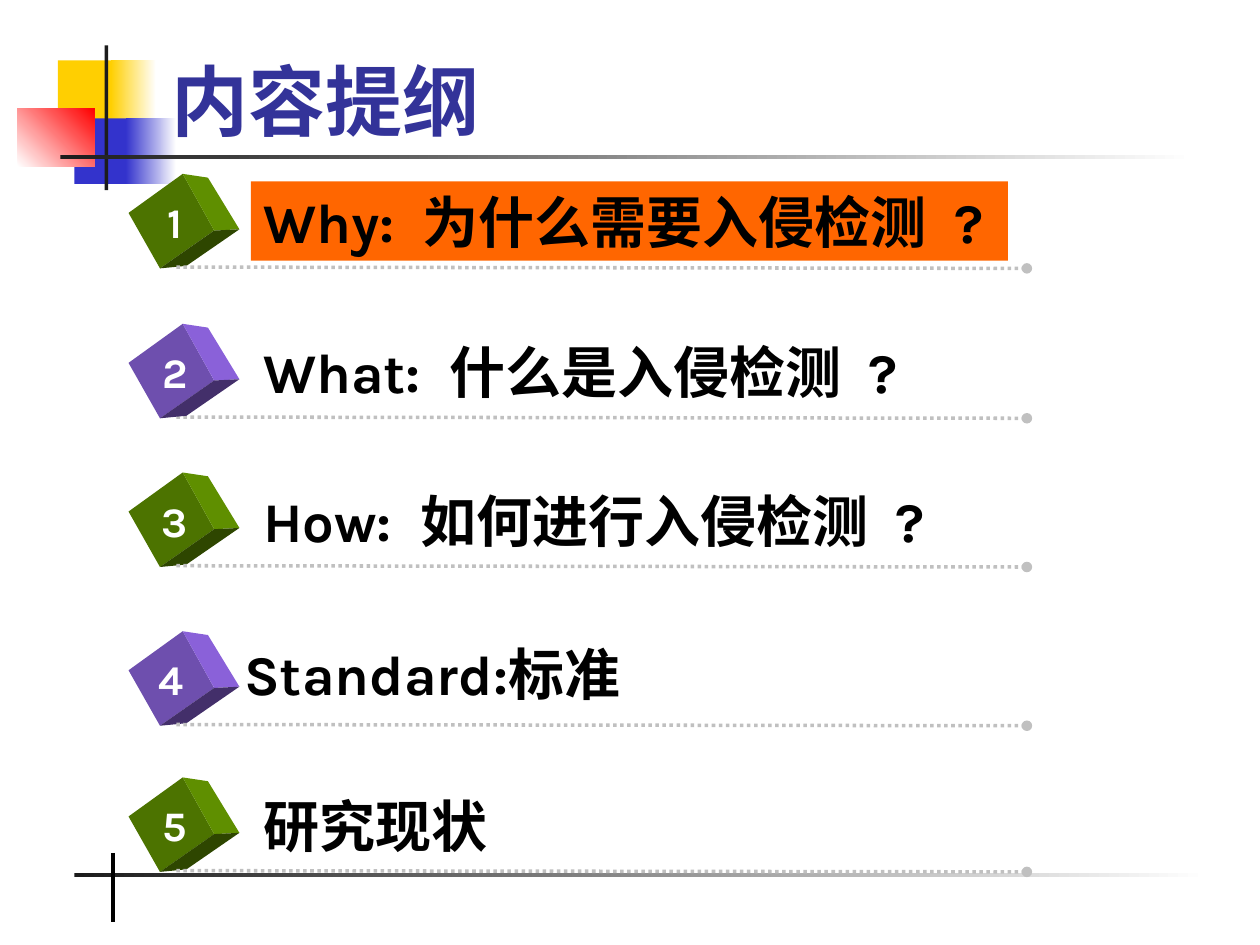
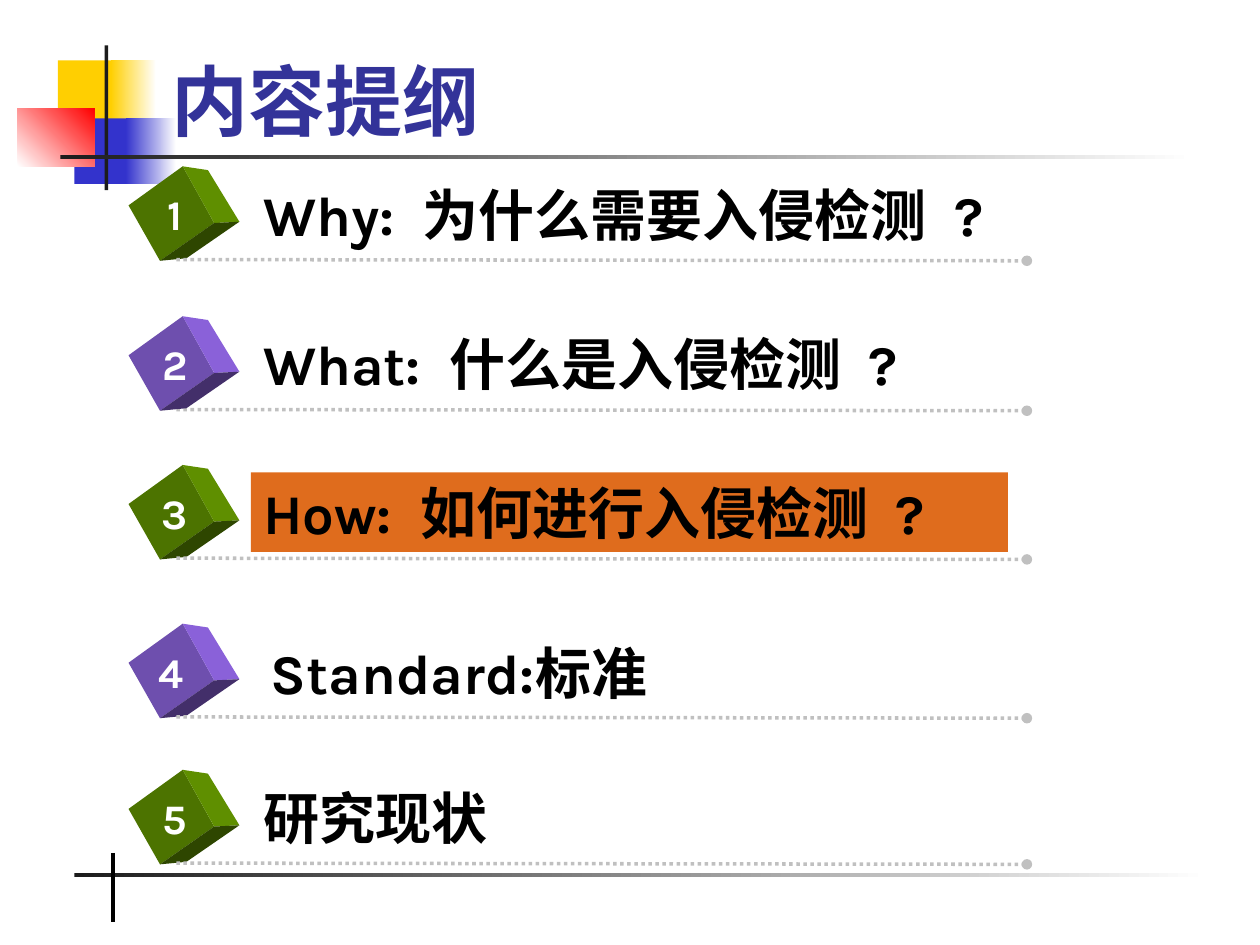
"""Two outline slides: five numbered topics, with the current one highlighted."""
import pptx
import pptx.dml.color
import pptx.enum.dml
import pptx.enum.shapes
import pptx.enum.text
import pptx.oxml
import pptx.oxml.ns
import pptx.util

Inches = pptx.util.Inches
Pt = pptx.util.Pt
RGBColor = pptx.dml.color.RGBColor
ALIGN = pptx.enum.text.PP_ALIGN
ANCHOR = pptx.enum.text.MSO_ANCHOR
FIT = pptx.enum.text.MSO_AUTO_SIZE

YELLOW = RGBColor(0xFF, 0xCF, 0x01)
BLUE = RGBColor(0x33, 0x33, 0xCC)
RED = RGBColor(0xFF, 0x00, 0x00)
WHITE = RGBColor(0xFF, 0xFF, 0xFF)
BLACK = RGBColor(0x00, 0x00, 0x00)
INK = RGBColor(0x1C, 0x1C, 0x1C)
SILVER = RGBColor(0xC0, 0xC0, 0xC0)
NAVY = RGBColor(0x33, 0x33, 0x99)
ORANGE = RGBColor(0xFF, 0x66, 0x00)
RUST = RGBColor(0xDF, 0x6C, 0x1D)
GREEN_FACES = (RGBColor(0x4C, 0x73, 0x00), RGBColor(0x5F, 0x8F, 0x00), RGBColor(0x2E, 0x46, 0x00))
PURPLE_FACES = (RGBColor(0x6E, 0x4F, 0xAE), RGBColor(0x8A, 0x61, 0xD9), RGBColor(0x43, 0x2F, 0x6A))

TITLE = "内容提纲"
TOPICS = ["Why: 为什么需要入侵检测 ?", "What: 什么是入侵检测 ?", "How: 如何进行入侵检测 ?",
          "Standard:标准", "研究现状"]
TOPIC_TOPS = [1.38, 2.57, 3.75, 5.01, 6.17]
TOPIC_WIDTHS = [6.01, 5.85, 6.01, 5.95, 7.6]
NUMBER_LEFTS = [1.19, 1.19, 1.18, 1.16, 1.19]
STANDARD = 3
OUTLINES = [
    {"shift": 0, "current": 0, "highlight": ORANGE, "standard_at": (1.84, 0.02)},
    {"shift": -0.06, "current": 2, "highlight": RUST, "standard_at": (2.05, 0.07)},
]
BANDS = [
    ((0.46, 0.48, 0.48, 0.52), (YELLOW,), 0),
    ((0.88, 0.48, 0.36, 0.52), (YELLOW, WHITE), 0),
    ((0.59, 0.94, 0.46, 0.52), (BLUE,), 0),
    ((1, 0.94, 0.4, 0.52), (BLUE, WHITE), 0),
    ((0.14, 0.86, 0.61, 0.46), (WHITE, RED), 45),
    ((0.83, 0.36, 0.03, 1.15), (INK,), 0),
    ((0.48, 1.23, 9, 0.03), (INK, WHITE), 0),
    ((0.59, 6.93, 9, 0.03), (INK, WHITE), 0),
]
LEFT, TOP, RIGHT, BOTTOM = (0, 0.31), (0.43, 0), (0.68, 0.45), (0.25, 0.75)
FAR_TOP, FAR_RIGHT, FAR_BOTTOM = (0.63, 0.03), (0.88, 0.44), (0.46, 0.73)
CUBE_FACES = [
    (LEFT, TOP, RIGHT, BOTTOM),
    (TOP, FAR_TOP, FAR_RIGHT, RIGHT),
    (BOTTOM, RIGHT, FAR_RIGHT, FAR_BOTTOM),
]


def add_text(slide, text, at, *, size, color, font="Karla", align=ALIGN.LEFT,
             anchor=ANCHOR.TOP, wrap=True, fit=FIT.SHAPE_TO_FIT_TEXT, fill=None):
    """Add bold text, giving each space between words double width."""
    box = slide.shapes.add_textbox(*map(Inches, at))
    if fill is not None:
        box.fill.solid()
        box.fill.fore_color.rgb = fill
    frame = box.text_frame
    frame.word_wrap, frame.auto_size, frame.vertical_anchor = wrap, fit, anchor
    paragraph = frame.paragraphs[0]
    paragraph.alignment = align
    for piece in text.replace(" ", "| |").split("|"):
        run = paragraph.add_run()
        run.text = piece
        run.font.name, run.font.size, run.font.bold = font, Pt(size), True
        run.font.color.rgb = color
        if piece == " ":
            run.font._element.set("spc", "800")


def add_line(slide, start, end, color, width):
    """Add a straight line without a shadow."""
    line = slide.shapes.add_connector(
        pptx.enum.shapes.MSO_CONNECTOR.STRAIGHT, *map(Inches, start + end))
    line.line.color.rgb, line.line.width = color, Pt(width)
    line._element.spPr.append(pptx.oxml.parse_xml(
        "<a:effectLst %s/>" % pptx.oxml.ns.nsdecls("a")))
    return line


def add_bands(slide):
    """Draw the blocks and rules that frame each slide."""
    for at, colors, angle in BANDS:
        band = slide.shapes.add_shape(
            pptx.enum.shapes.MSO_SHAPE.RECTANGLE, *map(Inches, at))
        band.shadow.inherit = False
        band.line.fill.background()
        if len(colors) == 1:
            band.fill.solid()
            band.fill.fore_color.rgb = colors[0]
        else:
            band.fill.gradient()
            band.fill.gradient_angle = angle
            for stop, color in zip(band.fill.gradient_stops, colors):
                stop.color.rgb = color
    add_line(slide, (0.9, 6.77), (0.9, 7.32), BLACK, 2.25)


def add_cube(slide, left, top, colors):
    """Draw the three visible faces of a tilted cube."""
    for corners, color in zip(CUBE_FACES, colors):
        points = [(Inches(left + x), Inches(top + y)) for x, y in corners]
        builder = slide.shapes.build_freeform(*points[0])
        builder.add_line_segments(points[1:], close=True)
        face = builder.convert_to_shape()
        face.shadow.inherit = False
        face.fill.solid()
        face.fill.fore_color.rgb = color
        face.line.fill.background()


def add_leader(slide, top):
    """Draw the dotted rule under a topic, ending in a dot."""
    leader = add_line(slide, (1.4, top + 0.74), (8.15, top + 0.75), SILVER, 2)
    leader.line.dash_style = pptx.enum.dml.MSO_LINE.ROUND_DOT
    leader.line._get_or_add_ln().append(pptx.oxml.parse_xml(
        '<a:tailEnd type="oval" %s/>' % pptx.oxml.ns.nsdecls("a")))


def add_outline(slide, shift, current, highlight, standard_at):
    """Draw the title and the five numbered topics."""
    add_bands(slide)
    for index, topic in enumerate(TOPICS):
        top = TOPIC_TOPS[index] + shift
        purple = index % 2 == 1
        leader_behind = index == 1
        if leader_behind:
            add_leader(slide, top)
        add_cube(slide, 1.02, top, PURPLE_FACES if purple else GREEN_FACES)
        left, drop = standard_at if index == STANDARD else (1.99, 0.06)
        add_text(slide, topic, (left, top + drop, TOPIC_WIDTHS[index], 0.63),
                 size=32, color=BLACK, fill=highlight if index == current else None)
        add_text(slide, str(index + 1), (NUMBER_LEFTS[index], top + 0.13, 0.39, 0.5),
                 size=24, color=WHITE, align=ALIGN.CENTER, wrap=False)
        if not leader_behind:
            add_leader(slide, top)
    add_text(slide, TITLE, (1.26, 0.16, 8.52, 1.05), size=44, color=NAVY,
             font="Times New Roman", anchor=ANCHOR.BOTTOM, fit=FIT.NONE)


def main():
    """Build and save the deck."""
    deck = pptx.Presentation()
    deck.slide_width, deck.slide_height = Inches(10), Inches(7.5)
    for outline in OUTLINES:
        add_outline(deck.slides.add_slide(deck.slide_layouts[6]), **outline)
    deck.save("out.pptx")


if __name__ == "__main__":
    main()
